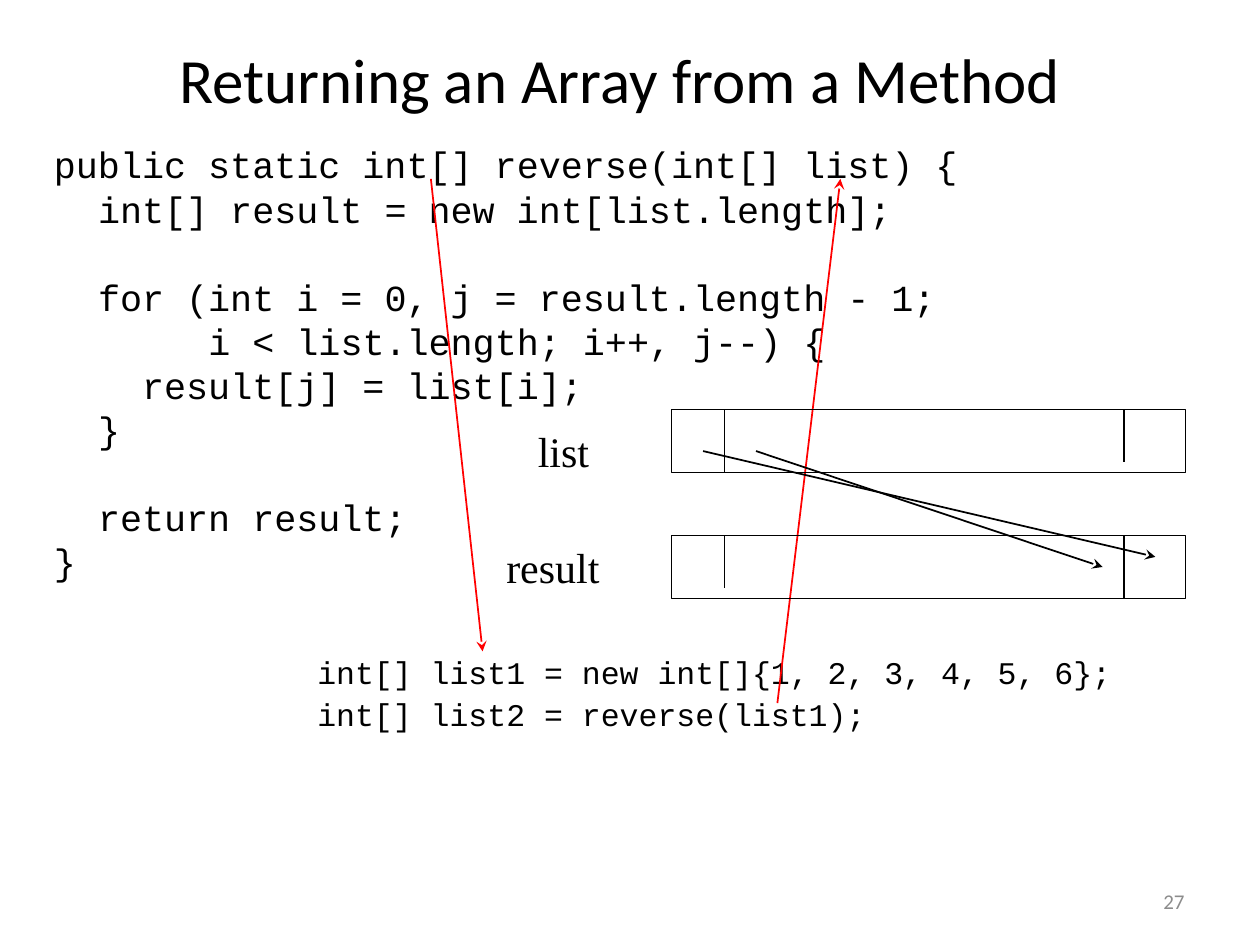
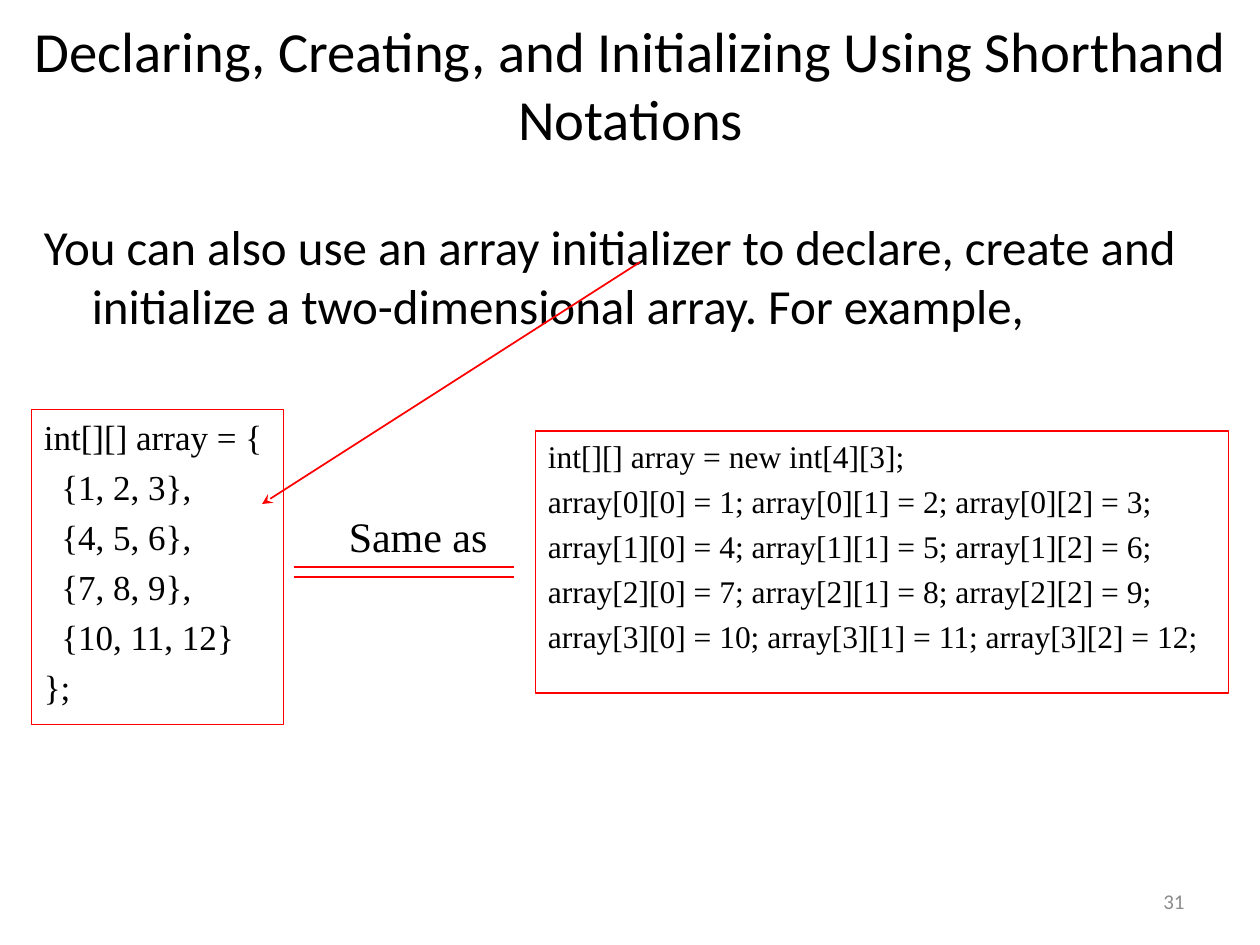
from pptx import Presentation, util as u
from pptx.dml.color import RGBColor
from pptx.enum import shapes, text
from pptx.oxml.ns import qn
from lxml import etree

BLACK = RGBColor(0x00, 0x00, 0x00)
RED = RGBColor(0xFF, 0x00, 0x00)
GREY = RGBColor(0x8C, 0x8C, 0x8C)
SANS, SERIF, MONO = "Calibri", "Times New Roman", "Courier New"

REVERSE_METHOD = [
    (0, "public static int[] reverse(int[] list) {"),
    (2, "int[] result = new int[list.length];"),
    (0, ""),
    (2, "for (int i = 0, j = result.length - 1;"),
    (7, "i < list.length; i++, j--) {"),
    (4, "result[j] = list[i];"),
    (2, "}"),
    (0, ""),
    (2, "return result;"),
    (0, "}"),
]
REVERSE_CALL = [
    (0, "int[] list1 = new int[]{1, 2, 3, 4, 5, 6};"),
    (0, "int[] list2 = reverse(list1);"),
]
SHORTHAND = [
    (0, "int[][] array = {"),
    (2, "{1, 2, 3},"),
    (2, "{4, 5, 6},"),
    (2, "{7, 8, 9},"),
    (2, "{10, 11, 12}"),
    (0, "};"),
]
LONGHAND = [(0, "int[][] array = new int[4][3];")] + [
    (0, " ".join(f"array[{row}][{column}] = {row * 3 + column + 1};" for column in range(3)))
    for row in range(4)
]


class Lecture:
    space_width = {SANS: 0.23, SERIF: 0.25, MONO: 0.6}
    line_height = {SANS: 1.22, SERIF: 1.15, MONO: 1.2}

    def __init__(self):
        self.deck = Presentation()
        self.deck.slide_width = u.Inches(10)
        self.deck.slide_height = u.Inches(7.5)
        self.page = None

    def new_page(self, title, place, size, number):
        self.page = self.deck.slides.add_slide(self.deck.slide_layouts[5])
        box = self.page.shapes.title
        box.left, box.top, box.width, box.height = map(u.Inches, place)
        frame = self.set_lines(box, [(0, title)], size, SANS)
        frame.vertical_anchor = text.MSO_ANCHOR.MIDDLE
        frame.paragraphs[0].alignment = text.PP_ALIGN.CENTER
        frame = self.text((7.17, 6.95, 2.33, 0.4), [(0, number)], 12, SANS, colour=GREY)
        frame.vertical_anchor = text.MSO_ANCHOR.MIDDLE
        frame.paragraphs[0].alignment = text.PP_ALIGN.RIGHT

    def set_lines(self, box, lines, size, font, gap=0.0, colour=BLACK):
        frame = box.text_frame
        frame.word_wrap = True
        frame.auto_size = text.MSO_AUTO_SIZE.NONE
        frame.vertical_anchor = text.MSO_ANCHOR.TOP
        height = size * self.line_height[font]
        para, before = None, 0
        for columns, line in lines:
            if not line:
                before += height
                continue
            para = frame.add_paragraph() if para is not None else frame.paragraphs[0]
            para.text = line
            para.alignment = text.PP_ALIGN.LEFT
            para.space_before = u.Pt(round(before, 1))
            para.font.size = u.Pt(size)
            para.font.name = font
            para.font.color.rgb = colour
            if columns:
                indent = u.Pt(columns * size * self.space_width[font])
                para._p.get_or_add_pPr().set("marL", str(indent))
            before = gap * height
        return frame

    def text(self, place, lines, size, font, gap=0.0, colour=BLACK):
        box = self.page.shapes.add_textbox(*map(u.Inches, place))
        return self.set_lines(box, lines, size, font, gap, colour)

    def frame(self, place, colour, width):
        box = self.page.shapes.add_shape(shapes.MSO_SHAPE.RECTANGLE, *map(u.Inches, place))
        box.shadow.inherit = False
        box.fill.background()
        box.line.color.rgb = colour
        box.line.width = u.Pt(width)
        return box

    def line(self, start, end, colour=BLACK, arrow=False):
        line = self.page.shapes.add_connector(
            shapes.MSO_CONNECTOR.STRAIGHT, *map(u.Inches, start + end))
        line.line.color.rgb = colour
        line.line.width = u.Pt(1)
        properties = line._element.spPr
        if arrow:
            etree.SubElement(properties.get_or_add_ln(), qn("a:tailEnd"), type="stealth")
        etree.SubElement(properties, qn("a:effectLst"))


def returning_arrays(lecture):
    lecture.new_page("Returning an Array from a Method", (0.67, 0.33, 8.5, 0.58), 36, "27")
    call = lecture.text((2.42, 5.17, 7.33, 0.75), REVERSE_CALL, 18, MONO, 0.2)
    for para in call.paragraphs:
        para.line_spacing = 0.9
    lecture.text((0.33, 1.08, 9.33, 1.83), REVERSE_METHOD, 21, MONO)
    lecture.line((6.17, 5.58), (6.67, 1.42), RED, arrow=True)
    lecture.line((3.42, 1.42), (3.83, 5.17), RED, arrow=True)

    arrays = [
        ("list", 3.25, 0.5, 0.42, (4.17, 3.33, 0.83, 0.5)),
        ("result", 4.25, 0.42, 0.5, (3.92, 4.25, 1.17, 0.5)),
    ]
    for name, top, first_depth, last_depth, label in arrays:
        lecture.frame((5.33, top, 4.08, 0.5), BLACK, 1)
        lecture.line((5.75, top), (5.75, top + first_depth))
        lecture.line((8.92, top), (8.92, top + last_depth))
        lecture.text(label, [(0, name)], 24, SERIF)
    lecture.line((5.58, 3.58), (9.17, 4.42), arrow=True)
    lecture.line((6, 3.58), (8.75, 4.5), arrow=True)


def shorthand_notations(lecture):
    lecture.new_page("Declaring, Creating, and Initializing Using Shorthand Notations",
                     (0.17, 0.25, 9.67, 0.83), 32.4, "31")
    intro = lecture.text(
        (0.25, 1.67, 9.58, 1.25),
        [(0, "You can also use an array initializer to declare, create and "
             "initialize a two-dimensional array. For example,")], 28, SANS)
    hanging = intro.paragraphs[0]._p.get_or_add_pPr()
    hanging.set("marL", str(u.Inches(0.38)))
    hanging.set("indent", str(-u.Inches(0.38)))

    for place, lines, size in [((4.25, 3.42, 5.5, 2.08), LONGHAND, 18),
                               ((0.25, 3.25, 2, 2.5), SHORTHAND, 20)]:
        lecture.set_lines(lecture.frame(place, RED, 0.75), lines, size, SERIF, 0.2)
    lecture.text((2.67, 4, 1.5, 0.42), [(0, "Same as")], 24, SERIF)
    for height in (4.5, 4.58):
        lecture.line((2.33, height), (4.08, height), RED)
    lecture.line((5.08, 2.08), (2.08, 4), RED, arrow=True)


def main():
    lecture = Lecture()
    returning_arrays(lecture)
    shorthand_notations(lecture)
    lecture.deck.save("out.pptx")


if __name__ == "__main__":
    main()
